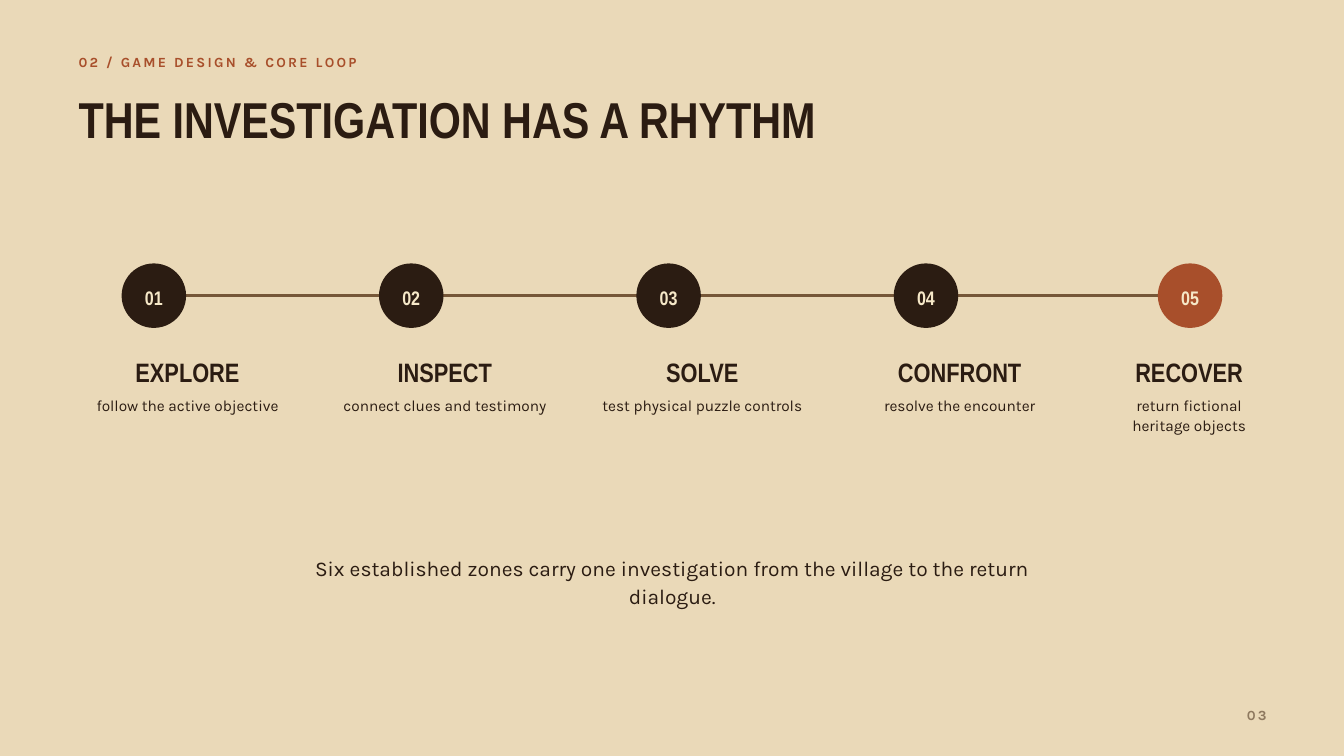
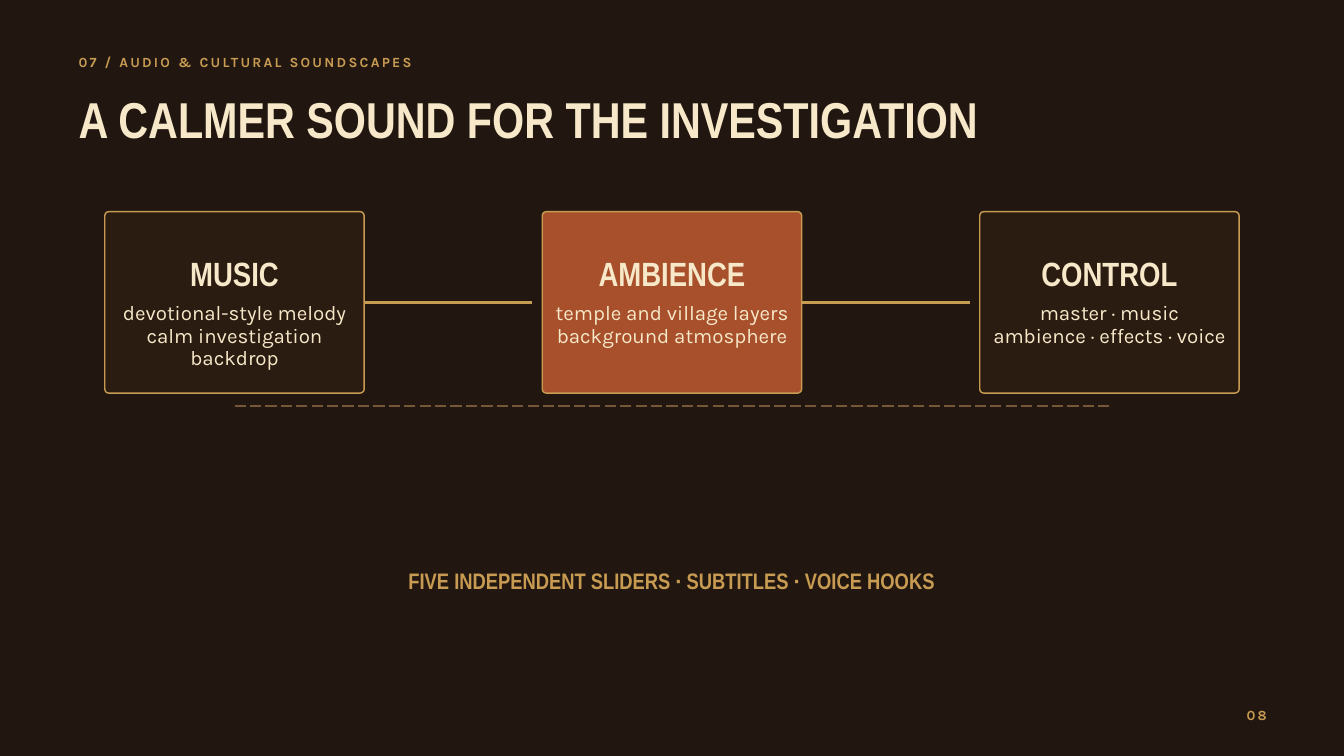
from collections import namedtuple

from lxml import etree
from pptx import Presentation
from pptx.dml.color import RGBColor
from pptx.enum.dml import MSO_LINE
from pptx.enum.shapes import MSO_CONNECTOR, MSO_SHAPE
from pptx.enum.text import MSO_ANCHOR, MSO_AUTO_SIZE, PP_ALIGN
from pptx.oxml.ns import qn
from pptx.util import Inches, Pt

STRAIGHT = MSO_CONNECTOR.STRAIGHT
OVAL, ROUNDED = MSO_SHAPE.OVAL, MSO_SHAPE.ROUNDED_RECTANGLE
LEFT, CENTER, RIGHT = PP_ALIGN.LEFT, PP_ALIGN.CENTER, PP_ALIGN.RIGHT
TOP, MIDDLE = MSO_ANCHOR.TOP, MSO_ANCHOR.MIDDLE
LONG_DASH = MSO_LINE.LONG_DASH
NO_AUTOFIT = MSO_AUTO_SIZE.NONE

SAND = RGBColor(0xEA, 0xD9, 0xB8)
NIGHT = RGBColor(0x21, 0x17, 0x10)
INK = RGBColor(0x2B, 0x1C, 0x12)
RUST = RGBColor(0xA8, 0x4F, 0x2B)
CREAM = RGBColor(0xF6, 0xE8, 0xC8)
GOLD = RGBColor(0xC8, 0x9B, 0x52)
BROWN = RGBColor(0x76, 0x57, 0x38)
TAUPE = RGBColor(0x8E, 0x79, 0x5F)

Style = namedtuple("Style", "font size leading bold tracking", defaults=(False, 0))
HEADING, BODY = "Arial Narrow", "Karla"
SMALL_CAPS = Style(BODY, 15, 21, True, 2.4)
TITLE = Style(HEADING, 54, 55.1, True)
STEP_NUMBER = Style(HEADING, 21, 29.4, True)
STEP_NAME = Style(HEADING, 28.5, 29.1, True)
STEP_DETAIL = Style(BODY, 16.5, 22.1)
SUMMARY = Style(BODY, 22.5, 30.1)
CARD_NAME = Style(HEADING, 36, 36.7, True)
CARD_DETAIL = Style(BODY, 22, 24.1)
FEATURES = Style(HEADING, 24, 32.1, True)

RHYTHM = {
    "section": "02 / GAME DESIGN & CORE LOOP",
    "title": "THE INVESTIGATION HAS A RHYTHM",
    "number": "03",
    "colors": (SAND, RUST, INK, TAUPE),
}
STEPS = [
    ("EXPLORE", "follow the active objective"),
    ("INSPECT", "connect clues and testimony"),
    ("SOLVE", "test physical puzzle controls"),
    ("CONFRONT", "resolve the encounter"),
    ("RECOVER", "return fictional heritage objects"),
]
ZONES = "Six established zones carry one investigation from the village to the return dialogue."

SOUND = {
    "section": "07 / AUDIO & CULTURAL SOUNDSCAPES",
    "title": "A CALMER SOUND FOR THE INVESTIGATION",
    "number": "08",
    "colors": (NIGHT, GOLD, CREAM, GOLD),
}
CARDS = [
    ("MUSIC", ["devotional-style melody", "calm investigation backdrop"], INK),
    ("AMBIENCE", ["temple and village layers", "background atmosphere"], RUST),
    ("CONTROL", ["master · music", "ambience · effects · voice"], INK),
]
SLIDERS = "FIVE INDEPENDENT SLIDERS · SUBTITLES · VOICE HOOKS"


def write(shape, lines, style, color, align=LEFT, anchor=TOP, inset=0):
    frame = shape.text_frame
    frame.text = "\n".join(lines)
    frame.word_wrap = True
    frame.auto_size = NO_AUTOFIT
    frame.vertical_anchor = anchor
    frame.margin_left = frame.margin_right = Inches(inset)
    frame.margin_top = frame.margin_bottom = Inches(inset)
    for para in frame.paragraphs:
        para.alignment = align
        para.line_spacing = Pt(style.leading)
        for span in para.runs:
            span.font.name = style.font
            span.font.size = Pt(style.size)
            span.font.bold = style.bold
            span.font.color.rgb = color
            if style.tracking:
                span.font._element.set("spc", str(round(style.tracking * 100)))


def add_text(slide, area, lines, style, color, align=CENTER):
    box = slide.shapes.add_textbox(*map(Inches, area))
    write(box, lines, style, color, align)


def add_filled(slide, kind, area, fill):
    shape = slide.shapes.add_shape(kind, *map(Inches, area))
    shape.shadow.inherit = False
    shape.fill.solid()
    shape.fill.fore_color.rgb = fill
    shape.line.fill.background()
    return shape


def add_line(slide, start, end, y, color, width):
    line = slide.shapes.add_connector(
        STRAIGHT, Inches(start), Inches(y), Inches(end), Inches(y))
    line.line.color.rgb = color
    line.line.width = Pt(width)
    etree.SubElement(line._element.spPr, qn("a:effectLst"))
    return line


def add_page(deck, content):
    background, section_color, title_color, number_color = content["colors"]
    slide = deck.slides.add_slide(deck.slide_layouts[5])
    slide.background.fill.solid()
    slide.background.fill.fore_color.rgb = background
    title = slide.shapes.title
    title.left, title.top, title.width, title.height = map(Inches, (1.17, 1.45, 14.38, 0.8))
    write(title, [content["title"]], TITLE, title_color)
    add_text(slide, (1.17, 0.76, 6.46, 0.28), [content["section"]],
             SMALL_CAPS, section_color, LEFT)
    add_text(slide, (18.23, 10.47, 0.62, 0.28), [content["number"]],
             SMALL_CAPS, number_color, RIGHT)
    return slide


def build_rhythm(deck):
    slide = add_page(deck, RHYTHM)
    diameter, first_center, last_center, axis = 0.96, 2.29, 17.71, 4.4
    label_left, pitch = 1.23, 3.83
    add_line(slide, first_center, last_center, axis, BROWN, 3.75)
    for index, (name, detail) in enumerate(STEPS):
        last = index == len(STEPS) - 1
        center = last_center if last else first_center + index * pitch
        circle = add_filled(slide, OVAL,
                            (center - diameter / 2, axis - diameter / 2, diameter, diameter),
                            RUST if last else INK)
        write(circle, [f"{index + 1:02}"], STEP_NUMBER, CREAM, CENTER, MIDDLE, 0.06)
        left, width = label_left + index * pitch, 2.29 if last else 3.12
        add_text(slide, (left, 5.36, width, 0.41), [name], STEP_NAME, INK)
        add_text(slide, (left, 5.86, width, 0.3), [detail], STEP_DETAIL, INK)
    add_text(slide, (4.38, 8.22, 11.25, 0.4), [ZONES], SUMMARY, INK)


def build_sound(deck):
    slide = add_page(deck, SOUND)
    left, top, width, height, pitch = 1.56, 3.15, 3.86, 2.7, 6.51
    padding, radius, link_length = 0.1, 0.06, 2.5
    for index, (name, details, fill) in enumerate(CARDS):
        card_left = left + index * pitch
        card = add_filled(slide, ROUNDED, (card_left, top, width, height), fill)
        card.adjustments[0] = radius / height
        card.line.color.rgb = GOLD
        card.line.width = Pt(1.5)
        if index < len(CARDS) - 1:
            edge = card_left + width
            link = add_line(slide, edge, edge + link_length, top + height / 2, GOLD, 3)
            link.begin_connect(card, 3)
        text_left, text_width = card_left + padding, width - 2 * padding
        add_text(slide, (text_left, 3.86, text_width, 0.53), [name], CARD_NAME, CREAM)
        add_text(slide, (text_left, 4.5, text_width, 1.15), details, CARD_DETAIL, CREAM)
    first_center = left + width / 2
    last_center = first_center + (len(CARDS) - 1) * pitch
    feedback = add_line(slide, last_center, first_center, 6.04, BROWN, 1.5)
    feedback.line.dash_style = LONG_DASH
    add_text(slide, (3.12, 8.4, 13.75, 0.45), [SLIDERS], FEATURES, GOLD)


def main():
    deck = Presentation()
    deck.slide_width, deck.slide_height = Inches(20), Inches(11.25)
    build_rhythm(deck)
    build_sound(deck)
    deck.save("out.pptx")


if __name__ == "__main__":
    main()
